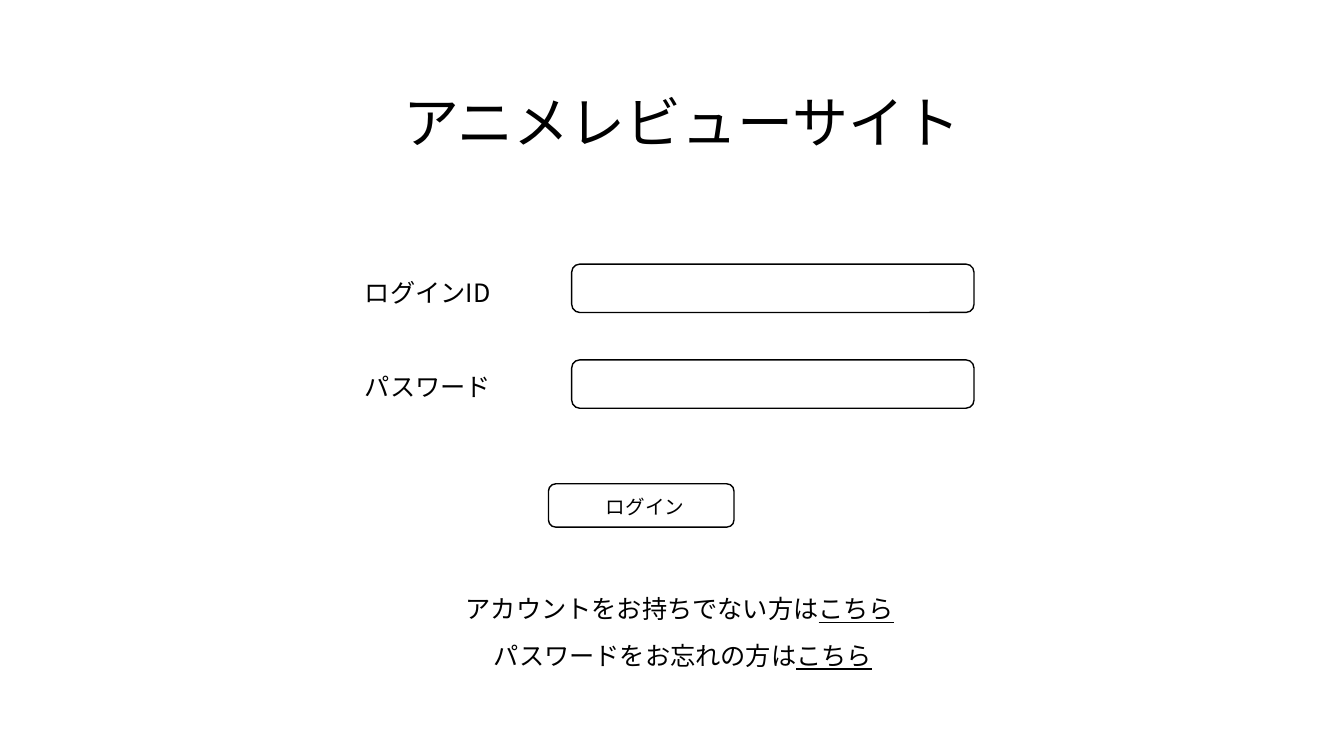
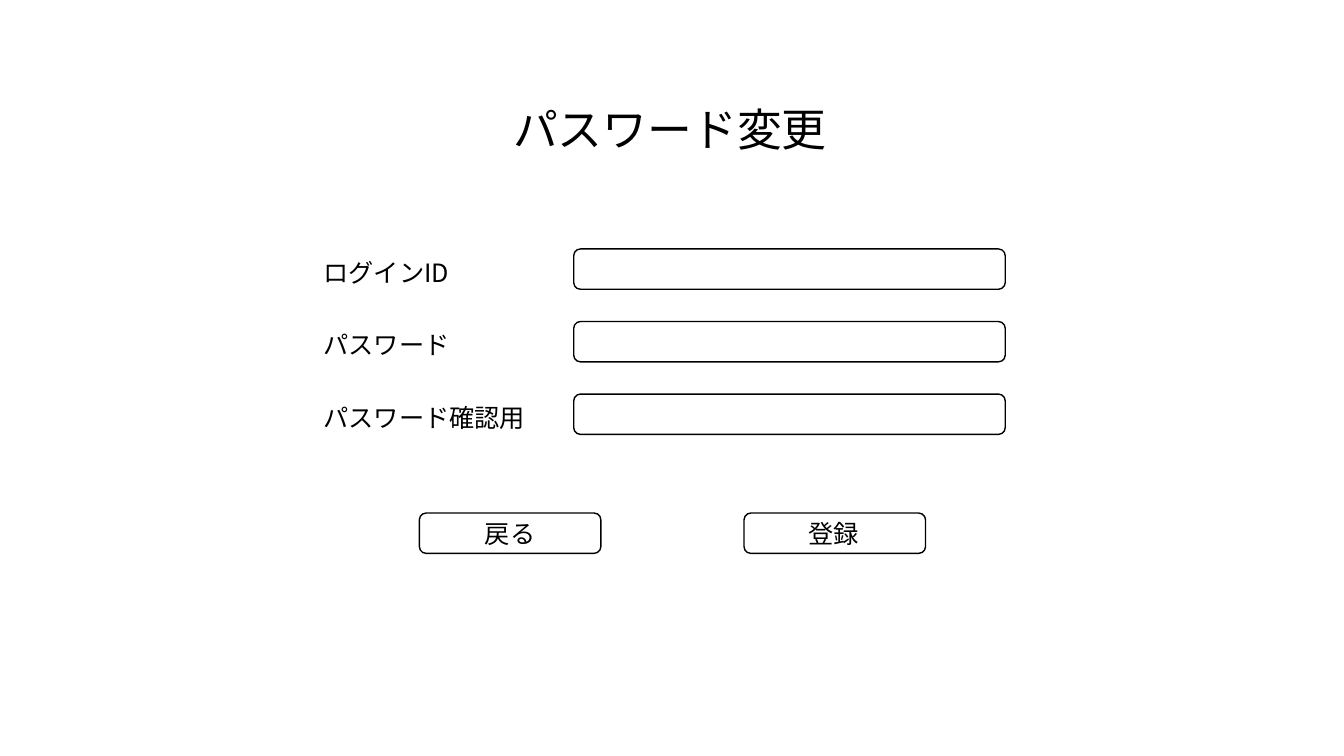
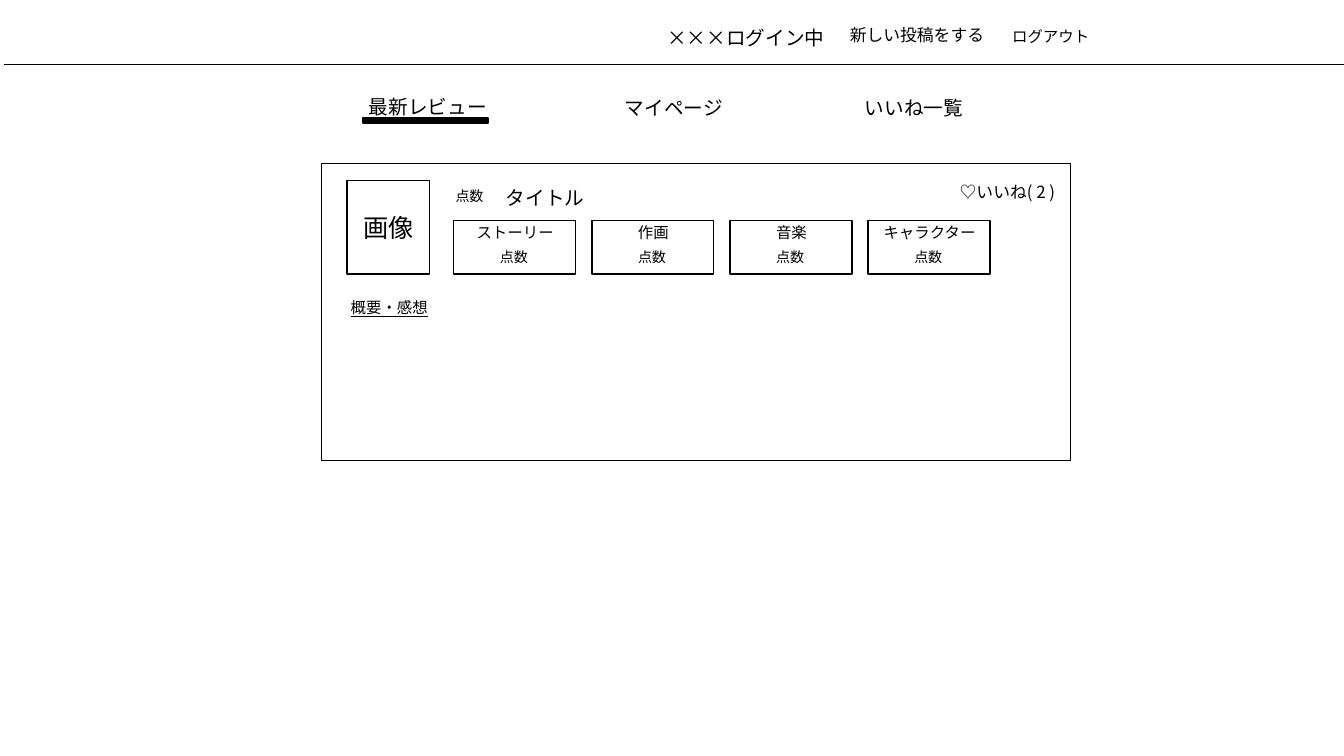
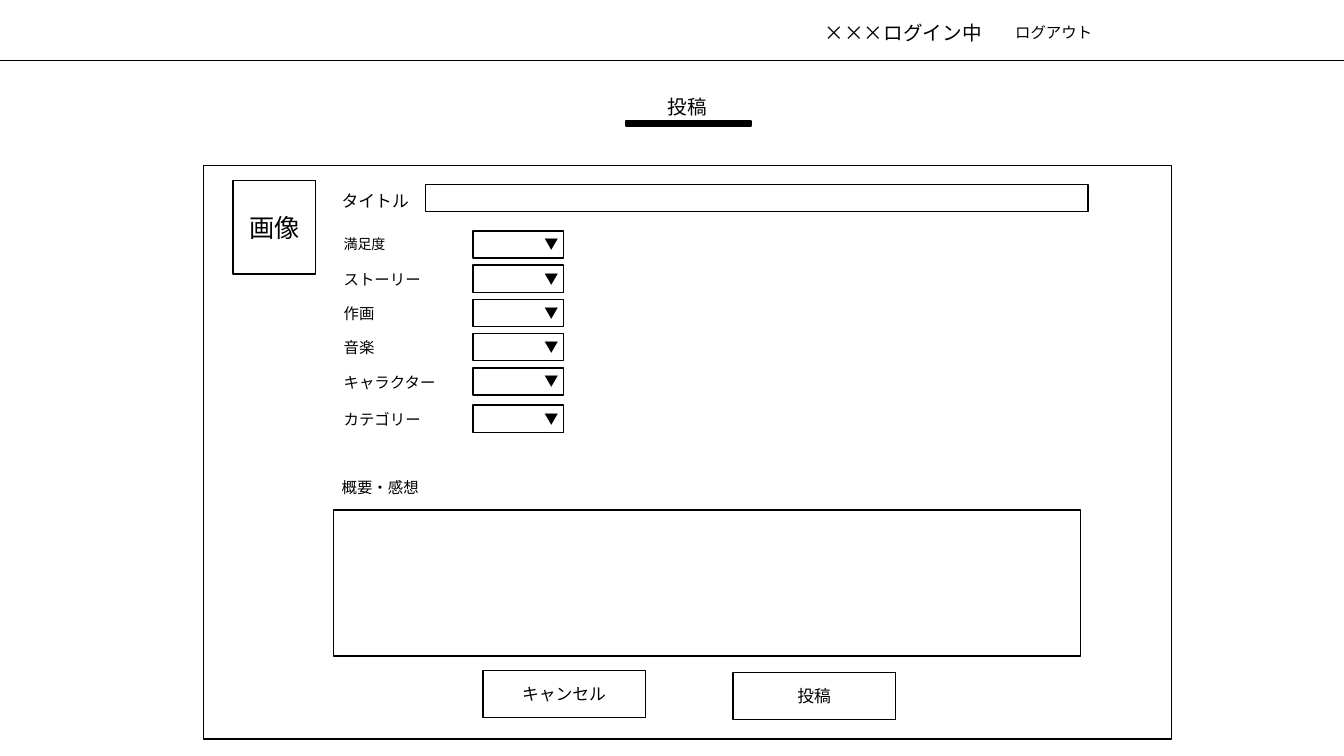
from lxml.etree import SubElement
from pptx import Presentation
from pptx.dml.color import RGBColor
from pptx.enum.lang import MSO_LANGUAGE_ID as LANG
from pptx.enum.shapes import MSO_CONNECTOR as CONN, MSO_SHAPE as SHAPE
from pptx.enum.text import MSO_ANCHOR as ANCHOR, MSO_AUTO_SIZE as AUTO, PP_ALIGN as ALIGN
from pptx.oxml.ns import qn
from pptx.util import Inches, Pt

COLORS = {"ink": "000000", "paper": "FFFFFF"}
FONT = "Noto Sans CJK JP"


def color(name):
    return RGBColor.from_string(COLORS[name])


def write(p, text, size=18, underline=False, ink="ink"):
    r = p.add_run()
    r.text = text
    f = r.font
    f.size = Pt(size)
    f.name = FONT
    f.color.rgb = color(ink)
    f.language_id = LANG.JAPANESE
    if underline:
        f.underline = True
    SubElement(r._r.get_or_add_rPr(), qn("a:ea")).set("typeface", FONT)


class Wireframe:
    def __init__(self, prs):
        self.prs = prs
        self.s = None

    def new_slide(self):
        self.s = self.prs.slides.add_slide(self.prs.slide_layouts[6])
        fill = self.s.background.fill
        fill.solid()
        fill.fore_color.rgb = color("paper")

    def text(self, x, y, w, h, text, size=18, align=ALIGN.LEFT, link=None, underline=False):
        sp = self.s.shapes.add_textbox(Inches(x), Inches(y), Inches(w), Inches(h))
        tf = sp.text_frame
        tf.word_wrap = True
        tf.auto_size = AUTO.SHAPE_TO_FIT_TEXT
        p = tf.paragraphs[0]
        p.alignment = align
        write(p, text, size=size, underline=underline)
        if link:
            write(p, link, size=size, underline=True)

    def box(self, x, y, w, h, text=None, size=18, kind=SHAPE.RECTANGLE, fill="paper"):
        sp = self.s.shapes.add_shape(kind, Inches(x), Inches(y), Inches(w), Inches(h))
        sp.shadow.inherit = False
        sp.fill.solid()
        sp.fill.fore_color.rgb = color(fill)
        sp.line.color.rgb = color("ink")
        sp.line.width = Pt(1)
        if text:
            tf = sp.text_frame
            tf.vertical_anchor = ANCHOR.MIDDLE
            p = tf.paragraphs[0]
            p.alignment = ALIGN.CENTER
            write(p, text, size=size)

    def rounded(self, x, y, w, h, text=None):
        self.box(x, y, w, h, text, kind=SHAPE.ROUNDED_RECTANGLE)

    def rule(self, x, y):
        c = self.s.shapes.add_connector(CONN.STRAIGHT, Inches(x), Inches(y),
                                        self.prs.slide_width, Inches(y))
        c.line.color.rgb = color("ink")
        c.line.width = Pt(0.5)
        SubElement(c._element.spPr, qn("a:effectLst"))

    def header(self, user_x, user_y, logout_x, logout_y, rule_x, rule_y):
        self.text(user_x, user_y, 1.81, 0.34, "×××ログイン中", size=14)
        self.text(logout_x, logout_y, 1.02, 0.29, "ログアウト", size=11)
        self.rule(rule_x, rule_y)

    def tab_marker(self, x, y):
        self.box(x, y, 1.24, 0.05, fill="ink")

    def thumbnail(self, x):
        self.box(x, 1.79, 0.82, 0.93, "画像")

    def dropdown(self, y, label, size=11):
        self.text(3.31, y, 1.26, 0.29, label, size=size)
        self.box(4.69, y, 0.9, 0.27)
        self.text(5.3, y, 0.5, 0.27, "▼", size=10)


def login(w):
    w.new_slide()
    w.text(3.9, 0.82, 5.84, 0.77, "アニメレビューサイト", size=40)
    for field_y, label_y, label in [(2.62, 2.7, "ログインID"), (3.57, 3.63, "パスワード")]:
        w.rounded(5.67, field_y, 3.99, 0.48)
        w.text(3.52, label_y, 1.99, 0.4, label)
    w.rounded(5.44, 4.8, 1.84, 0.43)
    w.text(5.91, 4.86, 1, 0.34, "ログイン", size=14)
    w.text(4.52, 5.84, 4.53, 0.4, "アカウントをお持ちでない方は", link="こちら")
    w.text(4.8, 6.3, 3.98, 0.4, "パスワードをお忘れの方は", link="こちら")


def password_change(w):
    w.new_slide()
    w.text(4.99, 0.96, 3.36, 0.64, "パスワード変更", size=32)
    for i, label in enumerate(["ログインID", "パスワード", "パスワード確認用"]):
        y = 2.47 + i * 0.72
        w.text(3.11, y + 0.03, 2.24, 0.4, label)
        w.rounded(5.69, y, 4.28, 0.4)
    w.rounded(4.16, 5.09, 1.8, 0.4, "戻る")
    w.rounded(7.38, 5.09, 1.8, 0.4)
    w.text(7.92, 5.09, 0.76, 0.4, "登録")


def latest_reviews(w):
    w.new_slide()
    w.header(6.52, 0.21, 9.94, 0.22, 0.04, 0.64)
    w.text(8.33, 0.2, 1.81, 0.3, "新しい投稿をする", size=12)
    w.tab_marker(3.6, 1.17)
    for x, y, tab in [(3.56, 0.89, "最新レビュー"), (6.1, 0.9, "マイページ"), (8.48, 0.9, "いいね一覧")]:
        w.text(x, y, 1.38, 0.34, tab, size=14)
    w.box(3.19, 1.62, 7.43, 2.95)
    w.thumbnail(3.44)
    w.text(4.42, 1.81, 0.5, 0.27, "点数", size=10)
    w.text(4.92, 1.8, 1, 0.34, "タイトル", size=14)
    w.text(9.42, 1.75, 1.21, 0.3, "♡いいね( 2 )", size=12)
    for i, criterion in enumerate(["ストーリー", "作画", "音楽", "キャラクター"]):
        x = 4.5 + i * 1.37
        w.box(x, 2.19, 1.21, 0.53)
        w.text(x - 0.02, 2.16, 1.26, 0.29, criterion, size=11, align=ALIGN.CENTER)
        w.text(x + 0.36, 2.42, 0.5, 0.27, "点数", size=10)
    w.text(3.38, 2.91, 7.07, 0.29, "概要・感想", size=11, underline=True)


def new_post(w):
    w.new_slide()
    w.header(8.08, 0.16, 9.97, 0.18, 0, 0.6)
    w.text(6.15, 0.89, 1.34, 0.34, "投稿", size=14, align=ALIGN.CENTER)
    w.tab_marker(6.21, 1.2)
    w.box(2.02, 1.64, 9.6, 5.69)
    w.thumbnail(2.31)
    w.text(3.29, 1.84, 0.98, 0.3, "タイトル", size=12)
    w.box(4.22, 1.83, 6.57, 0.27)
    w.dropdown(2.29, "満足度", size=10)
    for i, criterion in enumerate(["ストーリー", "作画", "音楽", "キャラクター"], 1):
        w.dropdown(2.29 + i * 0.34, criterion)
    w.dropdown(4.02, "カテゴリー")
    w.text(3.29, 4.69, 1.26, 0.29, "概要・感想", size=11)
    w.box(3.31, 5.06, 7.41, 1.45)
    w.box(4.79, 6.65, 1.61, 0.47, "キャンセル", size=12)
    w.box(7.27, 6.67, 1.61, 0.47, "投稿", size=12)


prs = Presentation()
prs.slide_width, prs.slide_height = Inches(13.33), Inches(7.5)
wireframe = Wireframe(prs)
for build in (login, password_change, latest_reviews, new_post):
    build(wireframe)
prs.save("out.pptx")
